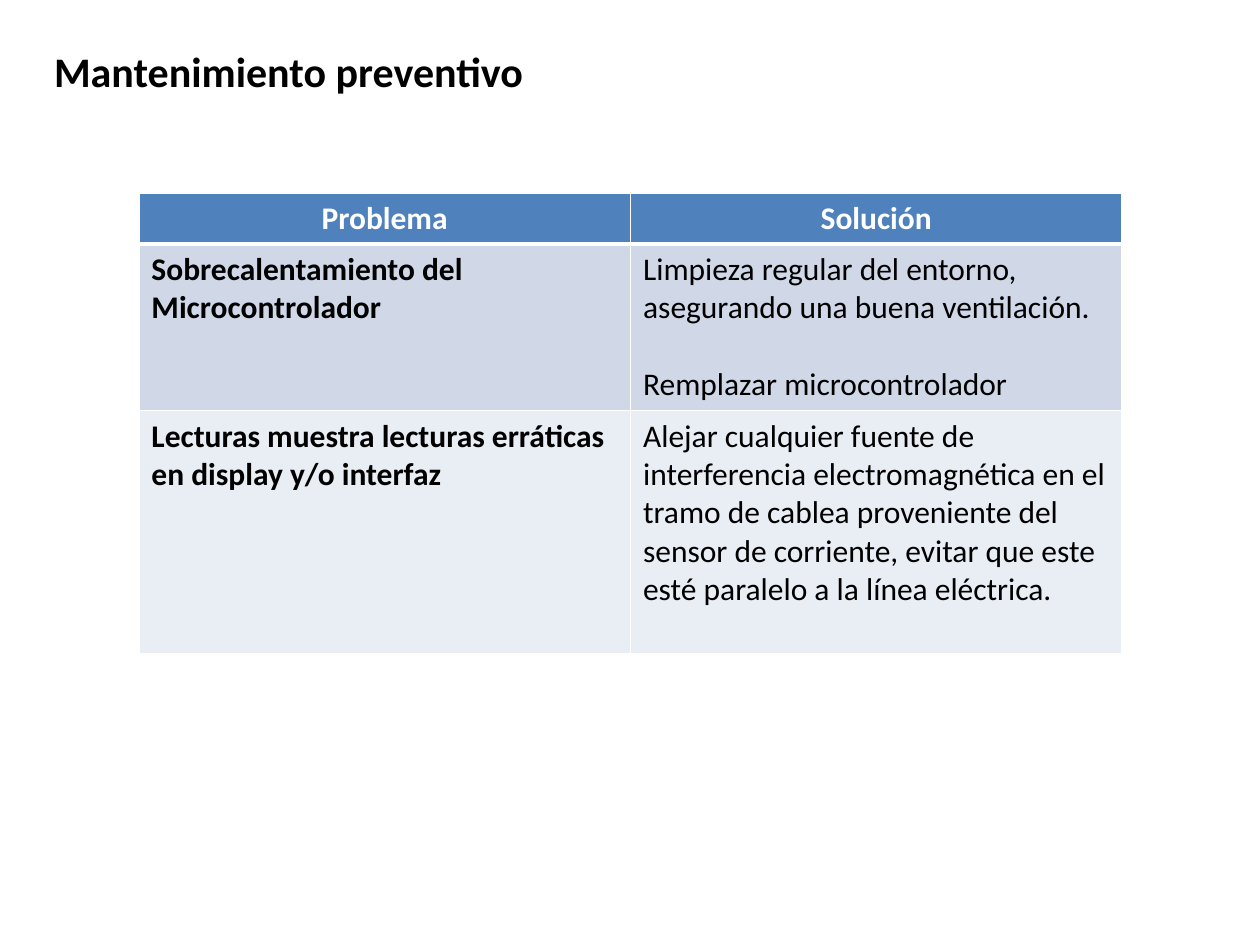
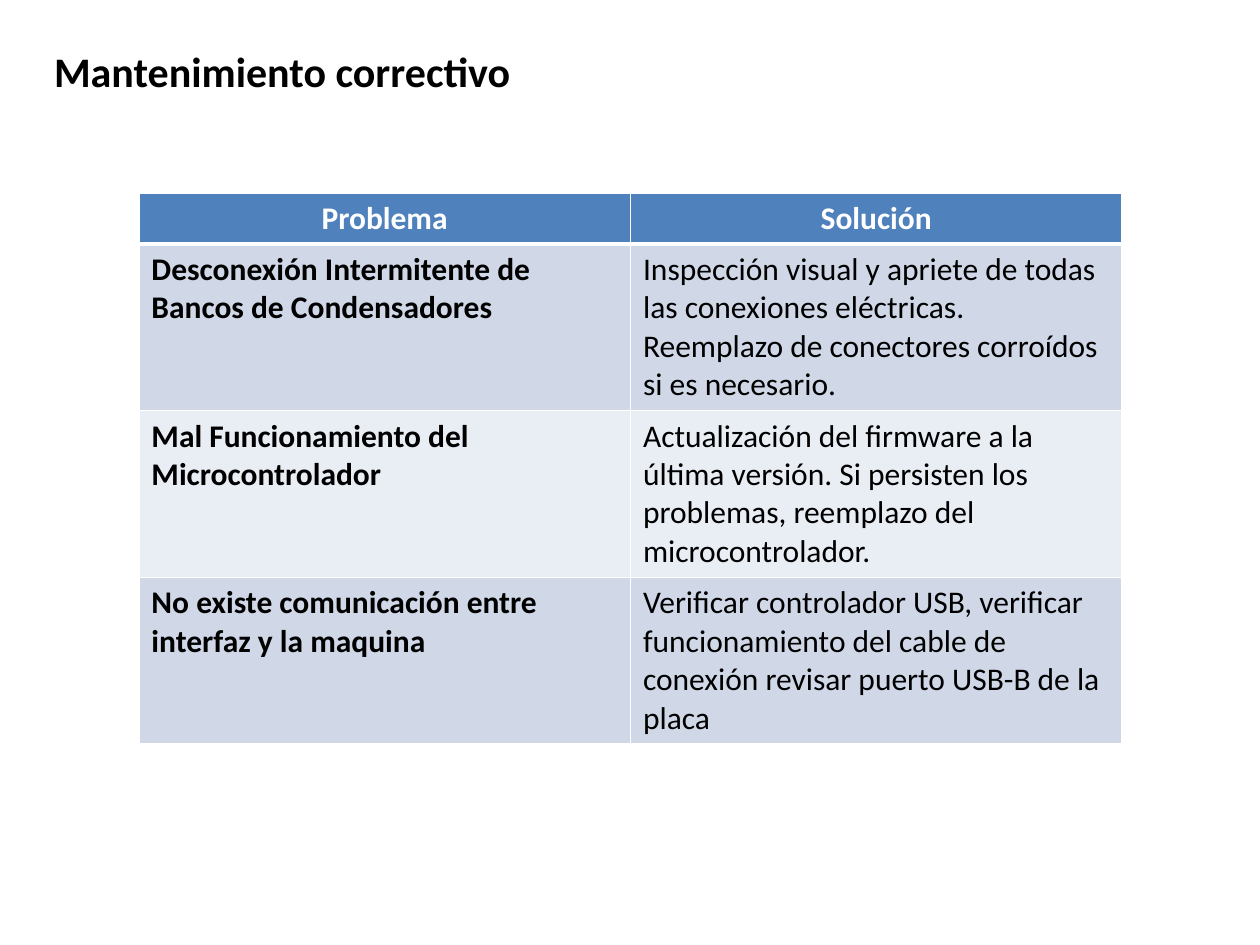
"""Build two maintenance slides, each with a problem and solution table."""
from lxml.etree import SubElement
from pptx import Presentation
from pptx.dml.color import RGBColor
from pptx.enum.text import MSO_ANCHOR as Anchor, PP_ALIGN as Align
from pptx.oxml.ns import qn
from pptx.util import Cm, Pt

HEADERS = ("Problema", "Solución")
SLIDES = [
    {
        "title": "Mantenimiento preventivo",
        "rows": [
            ("Sobrecalentamiento del Microcontrolador",
             "Limpieza regular del entorno, asegurando una buena ventilación.\n"
             "Remplazar microcontrolador"),
            ("Lecturas muestra lecturas erráticas en display y/o interfaz",
             "Alejar cualquier fuente de interferencia electromagnética en el tramo "
             "de cablea proveniente del sensor de corriente, evitar que este esté "
             "paralelo a la línea eléctrica."),
        ],
        "heights": (3.36, 4.9),
    },
    {
        "title": "Mantenimiento correctivo",
        "rows": [
            ("Desconexión Intermitente de Bancos de Condensadores",
             "Inspección visual y apriete de todas las conexiones eléctricas. "
             "Reemplazo de conectores corroídos si es necesario."),
            ("Mal Funcionamiento del Microcontrolador",
             "Actualización del firmware a la última versión. Si persisten los "
             "problemas, reemplazo del microcontrolador."),
            ("No existe comunicación entre interfaz y la maquina",
             "Verificar controlador USB, verificar funcionamiento del cable de "
             "conexión revisar puerto USB-B de la placa"),
        ],
        "heights": (3.36, 3.36, 3.36),
    },
]

COLORS = {"text": "000000", "white": "FFFFFF", "header": "4F81BD",
          "odd": "D0D8E8", "even": "E9EDF4"}
FONT = "Calibri"
HEADER_HEIGHT = 1.03
COLUMN_WIDTH = 9.91
PARAGRAPH_GAP = Pt(22)


def color(name):
    return RGBColor.from_string(COLORS[name])


def style(paragraph, size, color_name, bold):
    font = paragraph.font
    font.name, font.size, font.bold = FONT, Pt(size), bold
    font.color.rgb = color(color_name)


def add_borders(cell, top, bottom):
    properties = cell._tc.get_or_add_tcPr()
    for side, points in (("L", 1), ("R", 1), ("T", top), ("B", bottom)):
        line = SubElement(properties, qn(f"a:ln{side}"), w=str(Pt(points)))
        fill = SubElement(line, qn("a:solidFill"))
        SubElement(fill, qn("a:srgbClr"), val=COLORS["white"])


def add_title(page, text):
    box = page.shapes.add_textbox(Cm(0.84), Cm(0.48), Cm(21.6), Cm(1.9))
    frame = box.text_frame
    frame.word_wrap = True
    frame.vertical_anchor = Anchor.MIDDLE
    frame.text = text
    style(frame.paragraphs[0], 24, "text", True)


def fill_cell(cell, text, row, column):
    is_header = row == 0
    add_borders(cell, 3 if row == 1 else 1, 3 if is_header else 1)
    cell.fill.solid()
    band = "odd" if row % 2 else "even"
    cell.fill.fore_color.rgb = color("header" if is_header else band)
    cell.text = text
    for index, paragraph in enumerate(cell.text_frame.paragraphs):
        paragraph.alignment = Align.CENTER if is_header else Align.LEFT
        if index:
            paragraph.space_before = PARAGRAPH_GAP
        style(paragraph, 18, "white" if is_header else "text",
              is_header or column == 0)


def add_problem_table(page, rows, heights):
    rows = [HEADERS, *rows]
    heights = (HEADER_HEIGHT, *heights)
    table = page.shapes.add_table(
        len(rows), len(HEADERS), Cm(2.8), Cm(3.89),
        Cm(COLUMN_WIDTH * len(HEADERS)), Cm(sum(heights))).table
    for column in table.columns:
        column.width = Cm(COLUMN_WIDTH)
    for row, (texts, height) in enumerate(zip(rows, heights)):
        table.rows[row].height = Cm(height)
        for column, text in enumerate(texts):
            fill_cell(table.cell(row, column), text, row, column)


def main():
    deck = Presentation()
    deck.slide_width, deck.slide_height = Cm(25.4), Cm(19.05)
    for content in SLIDES:
        page = deck.slides.add_slide(deck.slide_layouts[6])
        add_title(page, content["title"])
        add_problem_table(page, content["rows"], content["heights"])
    deck.save("out.pptx")


if __name__ == "__main__":
    main()
